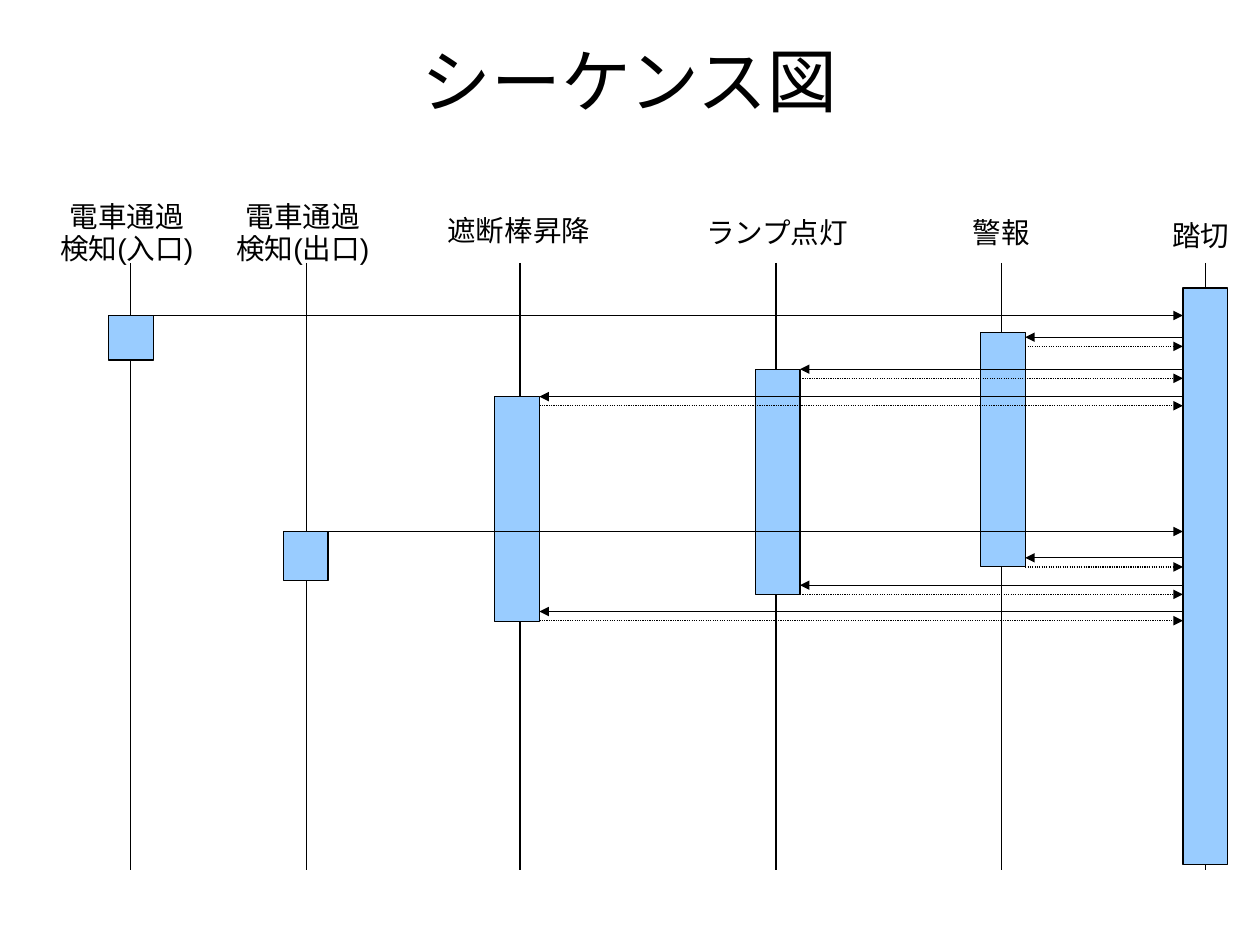
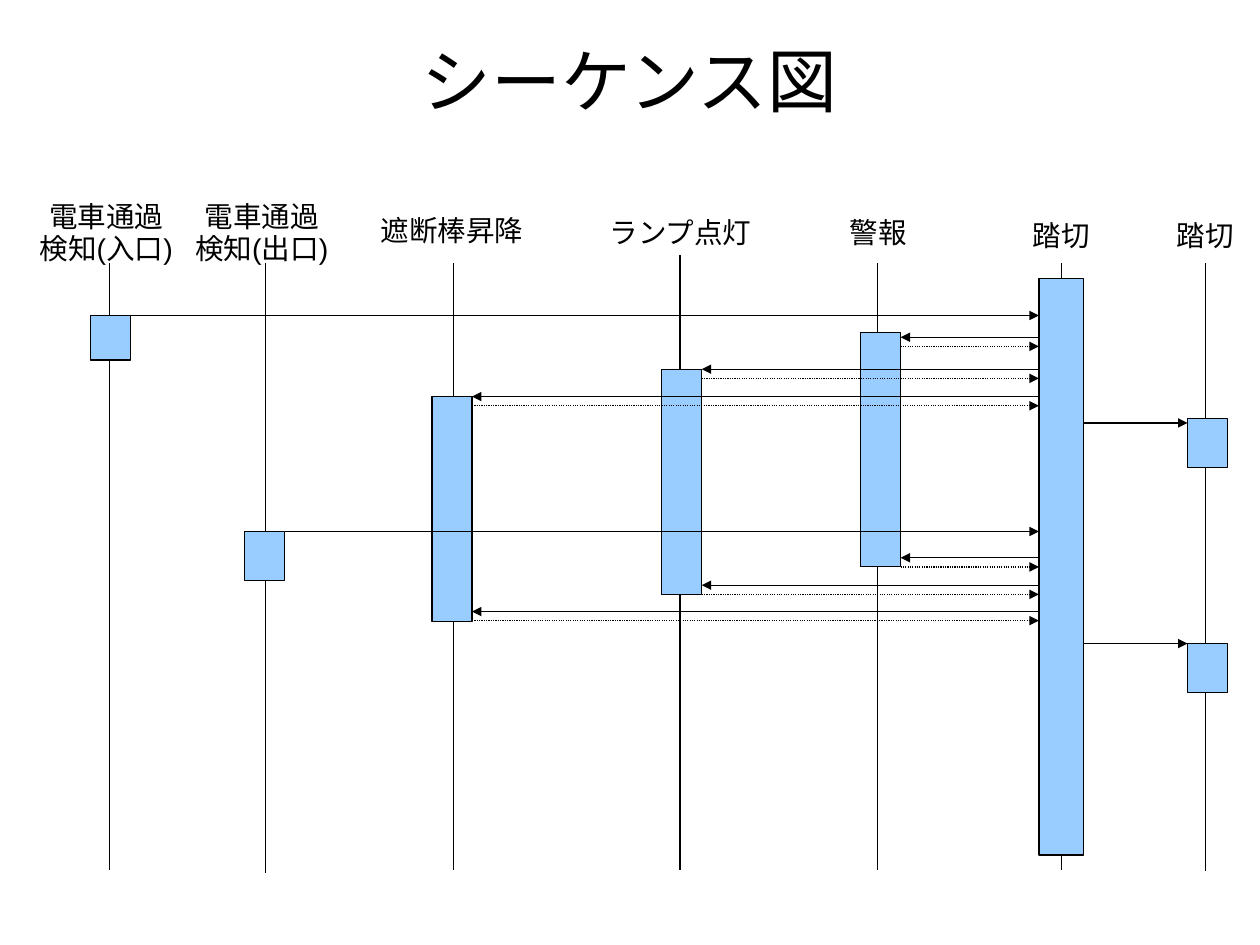
from pptx import Presentation
from pptx.dml.color import RGBColor
from pptx.enum.dml import MSO_LINE
from pptx.enum.shapes import MSO_CONNECTOR, MSO_SHAPE
from pptx.enum.text import MSO_ANCHOR, MSO_AUTO_SIZE, PP_ALIGN
from pptx.oxml.ns import qn
from pptx.util import Pt
from lxml import etree

PX = 9144
WIDE = 10080625
HIGH = 7559675
RECT = MSO_SHAPE.RECTANGLE
LINE = MSO_CONNECTOR.STRAIGHT
DOT = MSO_LINE.ROUND_DOT
INK = "000000"
BLUE = "99CCFF"
FRAME = {"margin_left": 10 * PX, "margin_right": 10 * PX,
         "margin_top": 7 * PX, "margin_bottom": 5 * PX,
         "word_wrap": False, "auto_size": MSO_AUTO_SIZE.NONE,
         "vertical_anchor": MSO_ANCHOR.TOP}
HEAD = FRAME | {"margin_left": 0, "margin_right": 0, "margin_top": 4 * PX,
                "margin_bottom": 0, "word_wrap": True,
                "vertical_anchor": MSO_ANCHOR.MIDDLE}
PARA = {"alignment": PP_ALIGN.CENTER, "line_spacing": 0.93}


def color(code):
    return RGBColor.from_string(code)


def write(shape, text, size, frame):
    body = shape.text_frame
    body.text = text
    for key, value in frame.items():
        setattr(body, key, value)
    for para in body.paragraphs:
        for key, value in PARA.items():
            setattr(para, key, value)
        para.font.name = "Arial"
        para.font.size = Pt(size)
        para.font.color.rgb = color(INK)


NAMES = [("電車通過\n検知(入口)", 170, 66), ("電車通過\n検知(出口)", 170, 66),
         ("遮断棒昇降", 182, 43), ("ランプ点灯", 184, 39), ("警報", 184, 39),
         ("踏切", 186, 34), ("踏切", 186, 34)]
SPANS = [(0, 276, 39), (1, 465, 43), (2, 347, 197), (3, 323, 197), (4, 291, 205)]
CALLS = [(4, 295), (3, 323), (2, 347), (4, 488), (3, 512), (2, 535)]
GATE = 5
ROAD = 6
REPLY = 8
THICK = 39

SLIDES = [
    {"thick": 39, "gate": 252, "spans": [], "sends": [],
     "roles": [(114, 230, 761, 29, 164, 95), (268, 230, 761, 183, 164, 248),
               (455, 230, 761, 384, 140, 433), (679, 230, 761, 610, 140, 661),
               (876, 230, 761, 827, 98, 858), (1055, 230, 761, 1018, 65, 1035)]},
    {"thick": 35, "gate": 244, "spans": [(ROAD, 366, 43), (ROAD, 563, 43)],
     "sends": [370, 563],
     "roles": [(96, 230, 761, 21, 144, 79), (232, 230, 764, 157, 144, 214),
               (397, 230, 761, 334, 123, 378), (595, 223, 761, 534, 123, 579),
               (768, 230, 761, 725, 87, 753), (929, 230, 761, 900, 57, 909),
               (1055, 230, 762, 1026, 57, 1039)]},
]

deck = Presentation()
deck.slide_width = WIDE
deck.slide_height = HIGH

for plan in SLIDES:
    slide = deck.slides.add_slide(deck.slide_layouts[5])
    title = slide.shapes.title
    for key, value in {"left": 55, "top": 25, "width": 992, "height": 93}.items():
        setattr(title, key, value * PX)
    write(title, "シーケンス図", 44, HEAD)

    roles = plan["roles"]
    bars = [role[5] for role in roles]
    gate = bars[GATE]
    ends = [bar + plan["thick"] for bar in bars]

    lines = [(x, top, x, end, False, False) for x, top, end, *rest in roles]
    lines += [(ends[who], y, gate, y, True, False) for who, y in [(0, 276), (1, 465)]]
    for who, y in CALLS:
        lines.append((gate, y, ends[who], y, True, False))
        lines.append((ends[who], y + REPLY, gate, y + REPLY, True, True))
    lines += [(gate + THICK, y, bars[ROAD], y, True, False) for y in plan["sends"]]

    spans = [(bars[who], y, plan["thick"], high) for who, y, high in SPANS + plan["spans"]]
    spans.append((gate, plan["gate"], THICK, 504))

    for step, line in enumerate(lines):
        if step == len(roles):
            for span in spans:
                bar = slide.shapes.add_shape(RECT, *[n * PX for n in span])
                bar.shadow.inherit = False
                bar.fill.solid()
                bar.fill.fore_color.rgb = color(BLUE)
                bar.line.color.rgb = color(INK)
                bar.line.width = Pt(0.75)
        *points, arrow, dotted = line
        link = slide.shapes.add_connector(LINE, *[n * PX for n in points])
        link.line.color.rgb = color(INK)
        link.line.width = Pt(0.75)
        if dotted:
            link.line.dash_style = DOT
        props = link._element.spPr
        if arrow:
            etree.SubElement(props.find(qn("a:ln")), qn("a:tailEnd"), type="triangle")
        etree.SubElement(props, qn("a:effectLst"))

    for (name, top, high), role in zip(NAMES, roles):
        box = slide.shapes.add_textbox(role[3] * PX, top * PX, role[4] * PX, high * PX)
        write(box, name, 18, FRAME)

deck.save("out.pptx")
